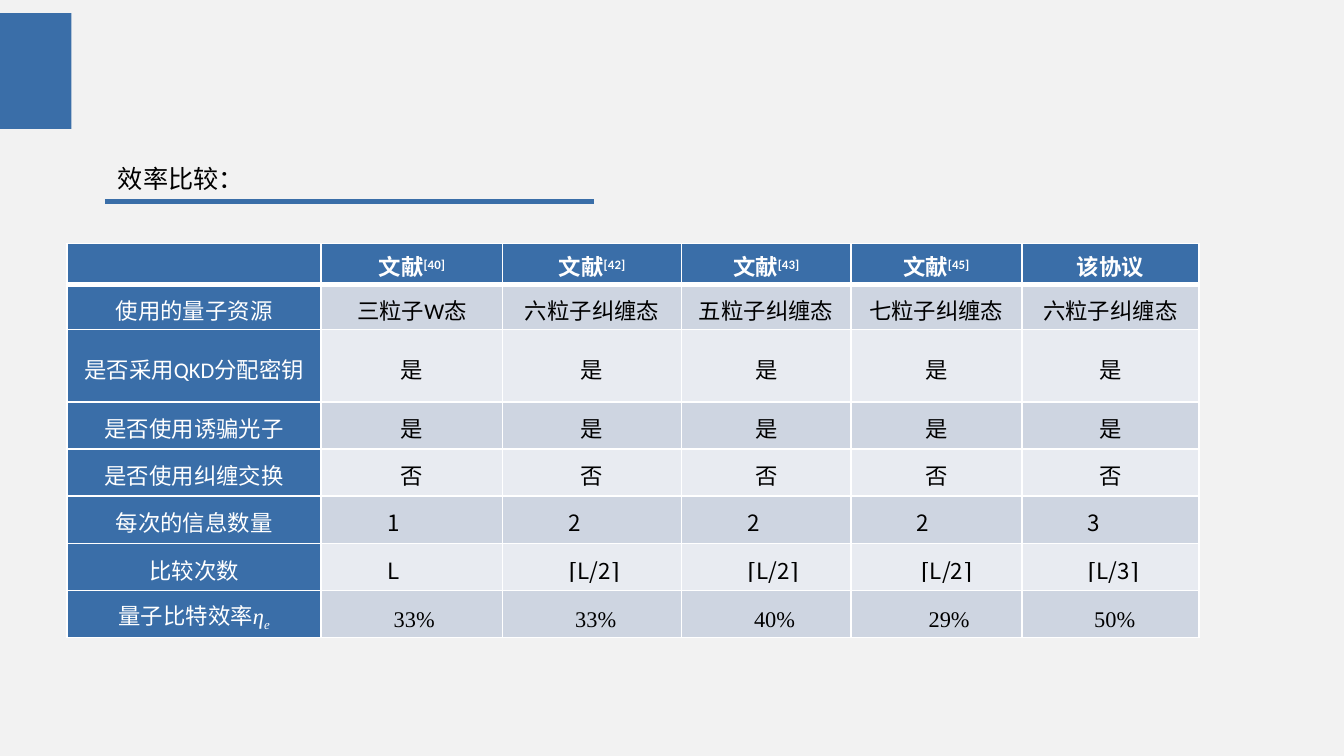
from lxml import etree
from pptx import Presentation
from pptx.dml.color import RGBColor
from pptx.enum.shapes import MSO_CONNECTOR, MSO_SHAPE
from pptx.enum.text import MSO_ANCHOR, PP_ALIGN
from pptx.oxml.ns import qn
from pptx.util import Cm, Pt

RECT, LINE = MSO_SHAPE.RECTANGLE, MSO_CONNECTOR.STRAIGHT
MID, LEFT, CENTER = MSO_ANCHOR.MIDDLE, PP_ALIGN.LEFT, PP_ALIGN.CENTER
BLUE, WHITE, BLACK, GREY = "3A6EA8", "FFFFFF", "000000", "F2F2F2"
BANDS = ["CED5E1", "E8EBF1"]
BODY, HAN, MATH, ROMAN = "Calibri", "Noto Sans CJK SC", "Cambria", "Times New Roman"

# Content: a cell is a text or a list of (text, format) runs
def cite(num):
    return ["文献", (f"[{num}]", dict(base=30))]


def ceil(text):
    return [("⌈", dict(face=MATH)), text, ("⌉", dict(face=MATH))]


HEAD = ["", cite(40), cite(42), cite(43), cite(45), "该协议"]
ROWS = [
    ["使用的量子资源", "三粒子W态", "六粒子纠缠态", "五粒子纠缠态",
     "七粒子纠缠态", "六粒子纠缠态"],
    ["是否采用QKD分配密钥"] + ["是"] * 5,
    ["是否使用诱骗光子"] + ["是"] * 5,
    ["是否使用纠缠交换"] + ["否"] * 5,
    ["每次的信息数量", "1", "2", "2", "2", "3"],
    ["比较次数", "L", ceil("L/2"), ceil("L/2"), ceil("L/2"), ceil("L/3")],
    [["量子比特效率", ("η", dict(face=ROMAN, italic=True)),
      ("e", dict(face=ROMAN, italic=True, base=-25))],
     "33%", "33%", "40%", "29%", "50%"],
]
# Left-set rows: face and indent in cm
SET = {5: (HAN, 1.05), 6: (HAN, 1.05), 7: (ROMAN, 1.17)}
SHIFT = {(6, 4): 0.08, (7, 4): 0.1}
WIDE = [4.8, 3.43, 3.38, 3.2, 3.23, 3.35]
HIGH = [0.77, 0.86, 1.37] + [0.89] * 5


def color(hue):
    return RGBColor.from_string(hue)


def paint(part, hue):
    part.fill.solid()
    part.fill.fore_color.rgb = color(hue)


def write(frame, text, size=12, hue=BLACK, face=BODY, bold=False,
          align=CENTER, indent=0, lead=None):
    par = frame.paragraphs[0]
    par.alignment = align
    if lead:
        par.line_spacing = Pt(lead)
    if indent:
        par._p.get_or_add_pPr().set("indent", str(Cm(indent)))
    for item in [text] if isinstance(text, str) else text:
        word, form = (item, {}) if isinstance(item, str) else item
        if not word:
            continue
        run = par.add_run()
        run.text = word
        font = run.font
        font.size, font.bold = Pt(size), bold
        font.italic = form.get("italic", False)
        font.name = form.get("face", face)
        font.color.rgb = color(hue)
        if "base" in form:
            run._r.get_or_add_rPr().set("baseline", str(form["base"] * 1000))


def edge(cell, **widths):
    prop = cell._tc.get_or_add_tcPr()
    for side in "LRTB":
        width = Pt(widths.get(side, 1))
        line = etree.SubElement(prop, qn(f"a:ln{side}"), w=str(width))
        fill = etree.SubElement(line, qn("a:solidFill"))
        etree.SubElement(fill, qn("a:srgbClr"), val=WHITE)


deck = Presentation()
deck.slide_width, deck.slide_height = Cm(25.4), Cm(14.29)
slide = deck.slides.add_slide(deck.slide_layouts[6])
paint(slide.background, GREY)
shapes = slide.shapes

# Corner block
block = shapes.add_shape(RECT, Cm(0), Cm(0.25), Cm(1.35), Cm(2.19))
block.shadow.inherit = False
paint(block, BLUE)
block.line.fill.background()

# Heading and its rule
box = shapes.add_textbox(Cm(1.98), Cm(2.97), Cm(2.92), Cm(0.84))
box.text_frame.word_wrap = False
write(box.text_frame, "效率比较：", size=13.5, align=LEFT)
rule = shapes.add_connector(LINE, Cm(1.98), Cm(3.81), Cm(11.23), Cm(3.81))
rule.line.color.rgb = color(BLUE)
rule.line.width = Pt(2.25)
etree.SubElement(rule._element.spPr, qn("a:effectLst"))

# Comparison table
grid = [HEAD] + ROWS
table = shapes.add_table(len(grid), len(HEAD), Cm(1.27), Cm(4.6),
                         Cm(sum(WIDE)), Cm(sum(HIGH))).table
for col, wide in zip(table.columns, WIDE):
    col.width = Cm(wide)
for row, high in zip(table.rows, HIGH):
    row.height = Cm(high)
for r, line in enumerate(grid):
    for c, text in enumerate(line):
        cell = table.cell(r, c)
        cell.margin_left = cell.margin_right = Cm(0.2)
        cell.margin_top = cell.margin_bottom = 0
        cell.vertical_anchor = MID
        edge(cell, T=3 if r == 1 else 1, B=3 if r == 0 else 1)
        if r == 0 or c == 0:
            paint(cell, BLUE)
            write(cell.text_frame, text, hue=WHITE, bold=r == 0, lead=20)
            continue
        paint(cell, BANDS[(r - 1) % 2])
        if r in SET:
            face, dent = SET[r]
            write(cell.text_frame, text, face=face, align=LEFT, lead=20,
                  indent=dent + SHIFT.get((r, c), 0))
        else:
            write(cell.text_frame, text, lead=20)

deck.save("out.pptx")
